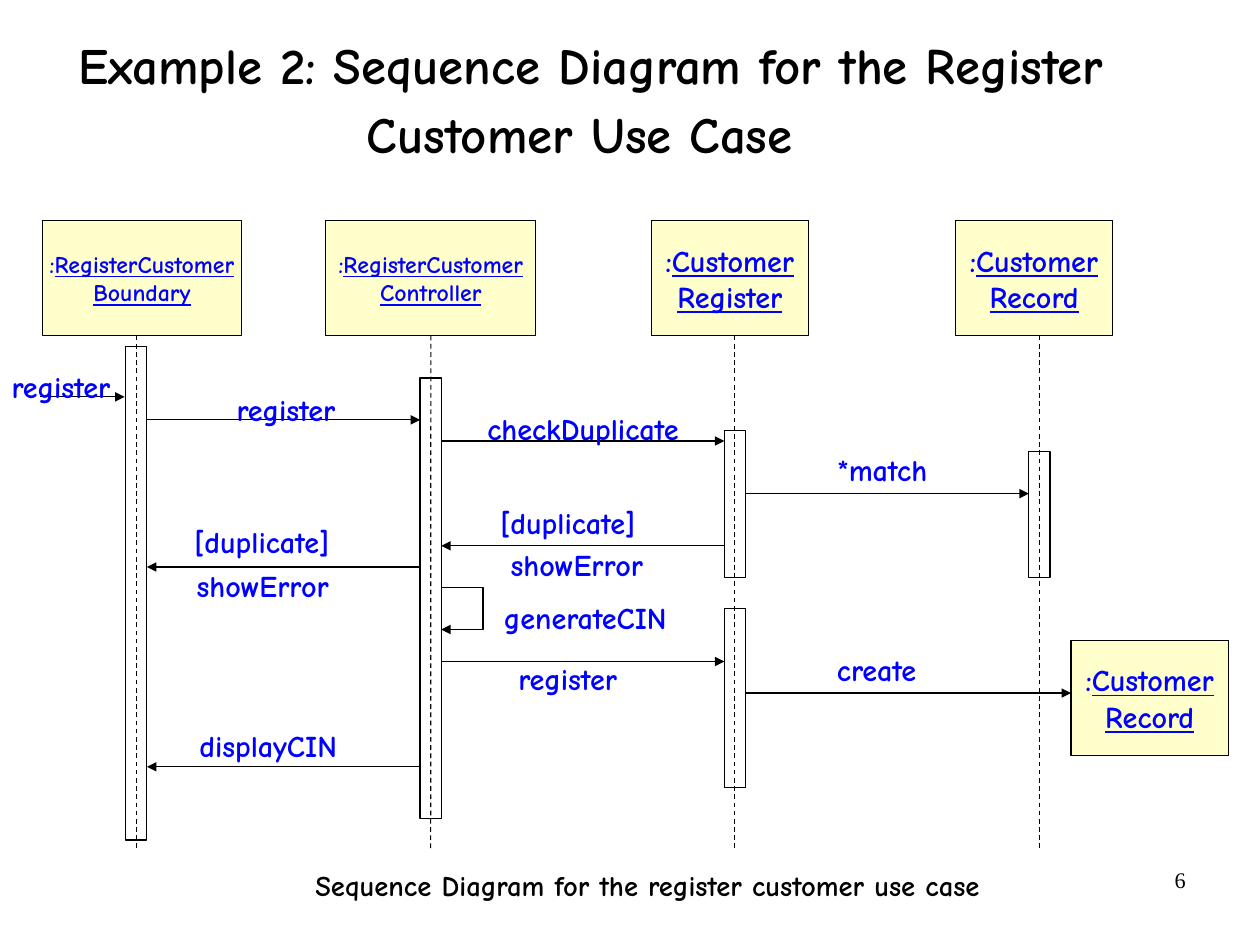
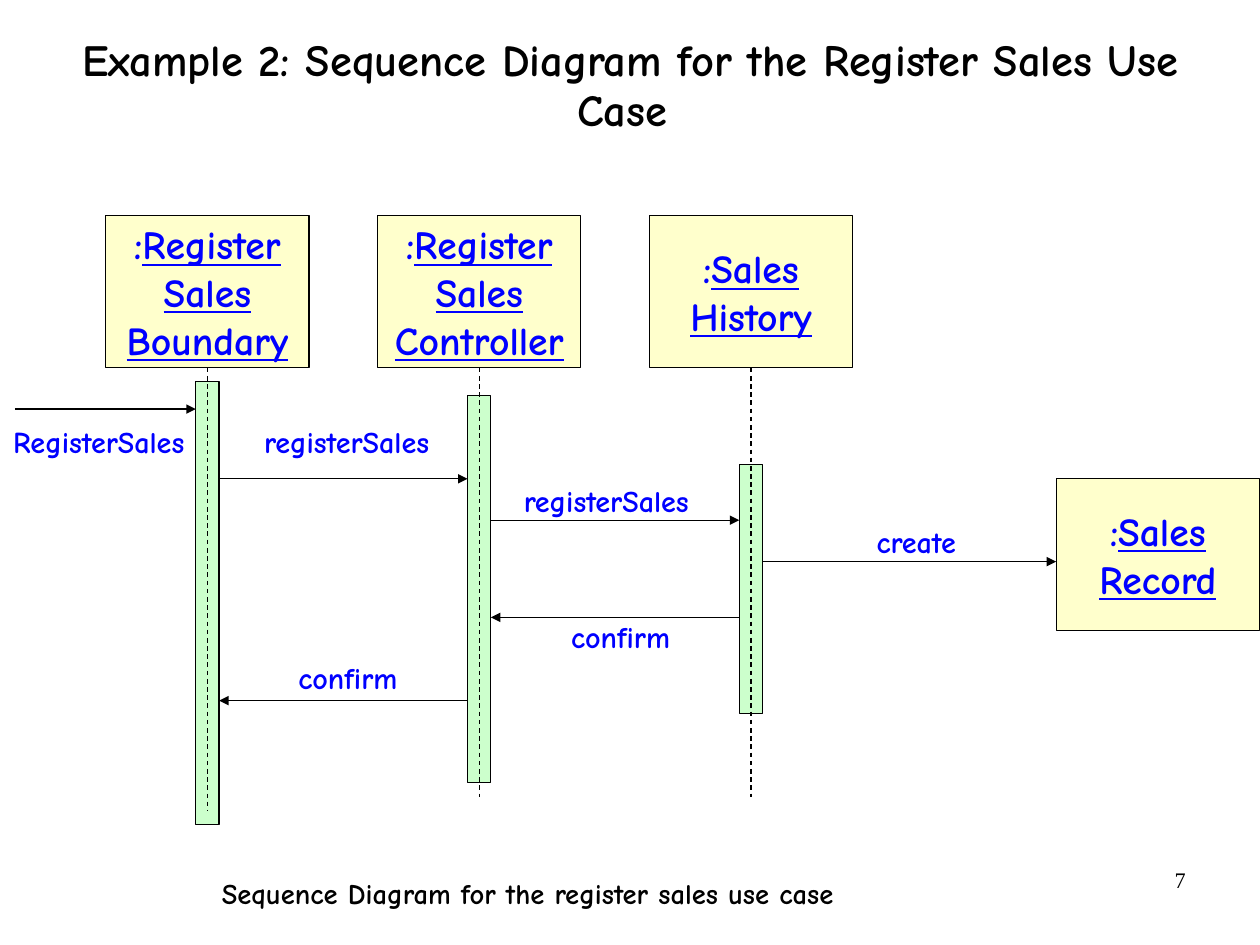
from lxml import etree
from pptx import Presentation
from pptx.dml.color import RGBColor
from pptx.enum.dml import MSO_LINE
from pptx.enum.shapes import MSO_CONNECTOR, MSO_SHAPE
from pptx.enum.text import MSO_ANCHOR, MSO_AUTO_SIZE, PP_ALIGN
from pptx.oxml.ns import qn
from pptx.util import Cm, Pt

STRAIGHT = MSO_CONNECTOR.STRAIGHT
RECT = MSO_SHAPE.RECTANGLE
DASH = MSO_LINE.DASH
MIDDLE, TOP = MSO_ANCHOR.MIDDLE, MSO_ANCHOR.TOP
NO_FIT, GROW = MSO_AUTO_SIZE.NONE, MSO_AUTO_SIZE.SHAPE_TO_FIT_TEXT
LEFT, CENTER, RIGHT = PP_ALIGN.LEFT, PP_ALIGN.CENTER, PP_ALIGN.RIGHT

COLORS = {"ink": "000000", "label": "0000FF", "head": "FFFFCC", "bar": "CCFFCC"}
FONT = "Comic Neue"
NUMBER_FONT = "Times New Roman"
LABEL_SIZE = 19
LABEL_WIDTHS = {
    "register": 2.3, "checkDuplicate": 4.4, "*match": 2.1, "create": 1.9,
    "[duplicate]": 3.1, "showError": 3.05, "generateCIN": 3.75,
    "displayCIN": 3.2, "registerSales": 3.8, "RegisterSales": 3.95,
    "confirm": 2.3,
}


def color(name):
    return RGBColor.from_string(COLORS[name])


class Diagram:
    def __init__(self, prs, bar_width, bar_fill=None):
        self.s = prs.slides.add_slide(prs.slide_layouts[5])
        self.bar_width = bar_width
        self.bar_fill = bar_fill

    def run(self, p, text, size, ink="ink", font=FONT, bold=True, underline=None):
        r = p.add_run()
        r.text = text
        r.font.name = font
        r.font.size = Pt(size)
        r.font.bold = bold
        r.font.underline = underline
        r.font.color.rgb = color(ink)

    def frame(self, sp, inset_x=0, inset_y=0, wrap=False, fit=NO_FIT, anchor=TOP):
        tf = sp.text_frame
        tf.auto_size = fit
        tf.word_wrap = wrap
        tf.vertical_anchor = anchor
        tf.margin_left = tf.margin_right = Cm(inset_x)
        tf.margin_top = tf.margin_bottom = Cm(inset_y)
        return tf

    def outline(self, shape):
        shape.line.color.rgb = color("ink")
        shape.line.width = Pt(0.75)

    def arrowhead(self, shape):
        ln = shape.element.spPr.find(qn("a:ln"))
        etree.SubElement(ln, qn("a:tailEnd"), type="triangle")

    def title(self, box, runs):
        sp = self.s.shapes.title
        sp.left, sp.top, sp.width, sp.height = map(Cm, box)
        p = self.frame(sp, 0.05, 0.15, True, anchor=MIDDLE).paragraphs[0]
        p.alignment = CENTER
        p.line_spacing = 0.94
        for text, size in runs:
            self.run(p, text, size)

    def text(self, x, y, w, h, text, size, ink="ink"):
        sp = self.s.shapes.add_textbox(Cm(x), Cm(y), Cm(w), Cm(h))
        p = self.frame(sp, fit=GROW).paragraphs[0]
        p.alignment = LEFT
        self.run(p, text, size, ink)

    def caption(self, x, y, w, text):
        self.text(x, y, w, 0.76, text, 18)

    def label(self, x, y, text):
        self.text(x, y, LABEL_WIDTHS[text], 0.81, text, LABEL_SIZE, "label")

    def number(self, text):
        sp = self.s.shapes.add_textbox(Cm(20.07), Cm(19.13), Cm(6.53), Cm(1.45))
        p = self.frame(sp, 0.25, 0.13, True).paragraphs[0]
        p.alignment = RIGHT
        self.run(p, text, 14, font=NUMBER_FONT, bold=False)

    def rect(self, x, y, w, h, fill=None):
        sp = self.s.shapes.add_shape(RECT, Cm(x), Cm(y), Cm(w), Cm(h))
        sp.shadow.inherit = False
        if fill:
            sp.fill.solid()
            sp.fill.fore_color.rgb = color(fill)
        else:
            sp.fill.background()
        self.outline(sp)
        return sp

    def head(self, x, y, w, h, lines, size):
        sp = self.rect(x, y, w, h, "head")
        tf = self.frame(sp, 0.28, 0.15, anchor=MIDDLE)
        for i, line in enumerate(lines):
            p = tf.add_paragraph() if i else tf.paragraphs[0]
            p.alignment = CENTER
            if i == 0:
                self.run(p, ":", size, "label")
            self.run(p, line, size, "label", underline=True)
        return sp

    def bar(self, center, y, h):
        self.rect(center - self.bar_width / 2, y, self.bar_width, h, self.bar_fill)

    def line(self, x1, y1, x2, y2):
        cxn = self.s.shapes.add_connector(STRAIGHT, Cm(x1), Cm(y1), Cm(x2), Cm(y2))
        etree.SubElement(cxn.element.spPr, qn("a:effectLst"))
        self.outline(cxn)
        return cxn

    def lifeline(self, x, top, bottom, head=None):
        cxn = self.line(x, top, x, bottom)
        cxn.line.dash_style = DASH
        if head is not None:
            cxn.begin_connect(head, 2)

    def arrow(self, x1, x2, y):
        self.arrowhead(self.line(x1, y, x2, y))

    def message(self, source, target, y):
        half = self.bar_width / 2 if target > source else -self.bar_width / 2
        self.arrow(source + half, target - half, y)

    def self_call(self, center, y, size):
        x = center + self.bar_width / 2
        fb = self.s.shapes.build_freeform(Cm(x), Cm(y))
        corners = [(x + size, y), (x + size, y + size), (x, y + size)]
        fb.add_line_segments([(Cm(a), Cm(b)) for a, b in corners], close=False)
        sp = fb.convert_to_shape()
        sp.shadow.inherit = False
        sp.fill.background()
        self.outline(sp)
        self.arrowhead(sp)


def customer_slide(prs):
    d = Diagram(prs, 0.47)
    d.title((1.24, 0, 23.8, 4.6), [
        ("Example 2: Sequence Diagram for the Register Customer Use Case", 32),
        (" ", 40)])
    d.caption(7.01, 19.29, 14.95, "Sequence Diagram for the register customer use case")
    d.number("6")

    boundary, controller, register, record = 3.03, 9.57, 16.33, 23.1
    top, height, bottom = 4.9, 2.56, 18.9
    for center, y, h in [(boundary, 7.7, 10.97), (controller, 8.4, 9.8),
                         (register, 9.57, 3.27), (register, 13.53, 3.97),
                         (record, 10.03, 2.8)]:
        d.bar(center, y, h)

    for center, x, w, lines, size, joined in [
            (boundary, 0.94, 4.43, ("RegisterCustomer", "Boundary"), 15, False),
            (controller, 7.24, 4.67, ("RegisterCustomer", "Controller"), 15, True),
            (register, 14.47, 3.5, ("Customer", "Register"), 19, False),
            (record, 21.23, 3.5, ("Customer", "Record"), 19, False)]:
        head = d.head(x, top, w, height, lines, size)
        d.lifeline(center, top + height, bottom, head if joined else None)
    d.head(23.8, 14.23, 3.5, height, ("Customer", "Record"), 19)

    d.arrow(0.89, boundary - 0.26, 8.82)
    d.arrow(register + 0.24, 23.8, 15.4)
    for source, target, y in [
            (boundary, controller, 9.33), (controller, register, 9.8),
            (register, record, 10.97), (register, controller, 12.13),
            (controller, boundary, 12.6), (controller, register, 14.7),
            (controller, boundary, 17.04)]:
        d.message(source, target, y)
    d.self_call(controller, 13.06, 0.93)

    for x, y, text in [
            (0.26, 8.18, "register"), (5.26, 8.69, "register"),
            (10.83, 9.12, "checkDuplicate"), (18.61, 10.04, "*match"),
            (11.12, 11.2, "[duplicate]"), (11.35, 12.14, "showError"),
            (4.32, 11.63, "[duplicate]"), (4.37, 12.6, "showError"),
            (11.2, 13.31, "generateCIN"), (11.52, 14.68, "register"),
            (18.6, 14.48, "create"), (4.43, 16.16, "displayCIN")]:
        d.label(x, y, text)


def sales_slide(prs):
    d = Diagram(prs, 0.52, "bar")
    d.title((0.71, 0.13, 26.59, 3.6), [
        ("Example 2: Sequence Diagram for the Register Sales Use Case ", 28)])
    d.caption(4.93, 19.47, 13.75, "Sequence Diagram for the register sales use case")
    d.number("7")

    left, top, width, height, step = 2.35, 4.79, 4.52, 3.38, 6.04
    centers = [left + width / 2 + i * step for i in range(3)]
    boundary, controller, history = centers
    columns = [
        (("Register", "Sales", "Boundary"), 8.47, 9.86, 18.03),
        (("Register", "Sales", "Controller"), 8.79, 8.61, 17.7),
        (("Sales", "History"), 10.32, 5.54, 17.7)]
    for center, (lines, bar_top, bar_height, bottom) in zip(centers, columns):
        d.bar(center, bar_top, bar_height)
        head = d.head(center - width / 2, top, width, height, lines, 25)
        d.lifeline(center, top + height, bottom, head)
    d.head(23.47, 10.63, width, height, ("Sales", "Record"), 25)

    d.arrow(0.33, boundary - 0.26, 9.09)
    d.arrow(history + 0.26, 23.47, 12.48)
    for source, target, y in [
            (boundary, controller, 10.64), (controller, history, 11.56),
            (history, controller, 13.72), (controller, boundary, 15.57)]:
        d.message(source, target, y)

    for x, y, text in [
            (0.29, 9.41, "RegisterSales"), (5.87, 9.41, "registerSales"),
            (11.64, 10.71, "registerSales"), (19.48, 11.63, "create"),
            (12.69, 13.74, "confirm"), (6.63, 14.66, "confirm")]:
        d.label(x, y, text)


def main():
    prs = Presentation()
    prs.slide_width, prs.slide_height = Cm(28), Cm(21)
    customer_slide(prs)
    sales_slide(prs)
    prs.save("out.pptx")


if __name__ == "__main__":
    main()
